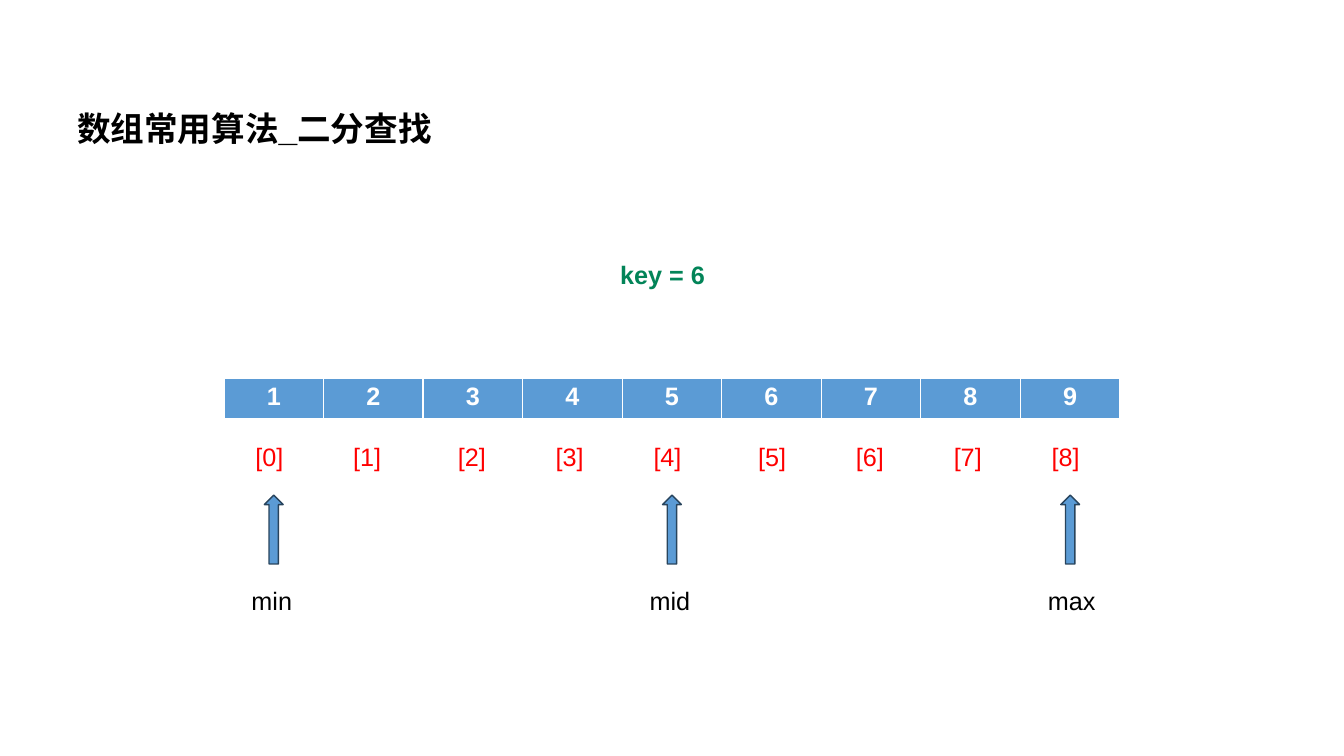
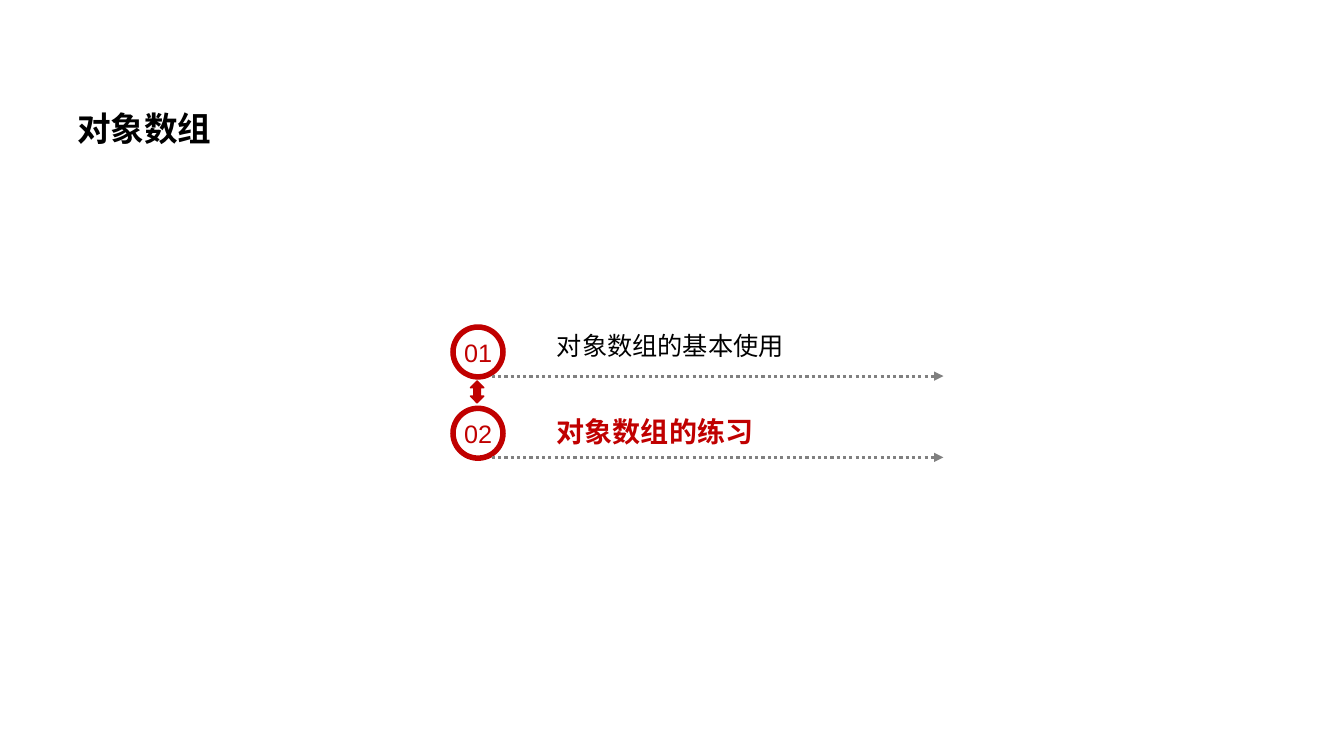
from dataclasses import dataclass
from lxml.etree import SubElement
from pptx import Presentation
from pptx.dml.color import RGBColor
from pptx.enum.dml import MSO_LINE
from pptx.enum.shapes import MSO_CONNECTOR, MSO_SHAPE
from pptx.enum.text import MSO_AUTO_SIZE, PP_ALIGN
from pptx.oxml.ns import qn
from pptx.slide import Slide
from pptx.util import Emu, Inches, Pt

WIDE, HIGH = Inches(13.333), Inches(7.5)
FONT = "Arial"
BLACK, WHITE, GRAY = "000000", "FFFFFF", "808080"
RED, CRIMSON, GREEN = "FF0000", "C00000", "028458"
BLUE, NAVY = "5B9BD5", "28445D"

# The array spans the middle two thirds of the slide, in nine columns.
COUNT = 9
EDGE = 100 / 6
COL = 400 / 6 / COUNT


@dataclass(frozen=True)
class Box:
    """A frame in percent of the slide's width and height."""
    x: float
    y: float
    w: float
    h: float

    def emu(self) -> tuple[Emu, Emu, Emu, Emu]:
        return across(self.x), down(self.y), across(self.w), down(self.h)


@dataclass(frozen=True)
class Style:
    size: int = 18
    color: str = BLACK
    bold: bool = False


@dataclass(frozen=True)
class Mark:
    name: str
    col: int


@dataclass(frozen=True)
class Item:
    num: str
    text: str
    style: Style
    drop: float


TITLE = Style(24, bold=True)
MARKS = [Mark("min", 0), Mark("mid", 4), Mark("max", 8)]
ITEMS = [
    Item("01", "对象数组的基本使用", Style(), 0.1),
    Item("02", "对象数组的练习", Style(20, CRIMSON, True), 0.5),
]


def across(share: float) -> Emu:
    return Emu(round(WIDE * share / 100))


def down(share: float) -> Emu:
    return Emu(round(HIGH * share / 100))


def paint(value: str) -> RGBColor:
    return RGBColor.from_string(value)


def add_run(para, text: str, style: Style) -> None:
    run = para.add_run()
    run.text = text
    font = run.font
    font.name, font.size, font.bold = FONT, Pt(style.size), style.bold
    font.color.rgb = paint(style.color)


def add_text(slide: Slide, box: Box, text: str, style: Style, wrap: bool = True):
    """Add a one-line text box and return its paragraph."""
    frame = slide.shapes.add_textbox(*box.emu()).text_frame
    frame.word_wrap = wrap
    frame.auto_size = MSO_AUTO_SIZE.SHAPE_TO_FIT_TEXT
    para = frame.paragraphs[0]
    add_run(para, text, style)
    return para


def add_title(slide: Slide, text: str) -> None:
    para = add_text(slide, Box(5, 10.9, 88, 8.3), text, TITLE)
    para.line_spacing = 1.5


def add_form(slide: Slide, kind: MSO_SHAPE, box: Box, fill: str, line: str | None = None):
    form = slide.shapes.add_shape(kind, *box.emu())
    form.shadow.inherit = False
    form.fill.solid()
    form.fill.fore_color.rgb = paint(fill)
    if line:
        form.line.color.rgb = paint(line)
        form.line.width = Pt(1)
    else:
        form.line.fill.background()
    return form


def add_arrow(slide: Slide, left: float, right: float, y: float) -> None:
    """Add a dotted level line with a head at its right end."""
    link = slide.shapes.add_connector(
        MSO_CONNECTOR.STRAIGHT, across(left), down(y), across(right), down(y))
    link.line.color.rgb = paint(GRAY)
    link.line.width = Pt(2.25)
    link.line.dash_style = MSO_LINE.ROUND_DOT
    SubElement(link.line._get_or_add_ln(), qn("a:tailEnd"), type="triangle")
    SubElement(link._element.spPr, qn("a:effectLst"))


def add_stops(para, stops: list[float]) -> None:
    """Set left tab stops, in percent of the slide's width."""
    tabs = SubElement(para._p.get_or_add_pPr(), qn("a:tabLst"))
    for stop in stops:
        SubElement(tabs, qn("a:tab"), pos=str(across(stop)), algn="l")


def add_array(slide: Slide) -> None:
    box = Box(EDGE, 50, COL * COUNT, 5.4)
    table = slide.shapes.add_table(1, COUNT, *box.emu()).table
    table.horz_banding = False
    for i in range(COUNT):
        table.columns[i].width = across(COL)
        cell = table.cell(0, i)
        cell.fill.solid()
        cell.fill.fore_color.rgb = paint(BLUE)
        para = cell.text_frame.paragraphs[0]
        para.alignment = PP_ALIGN.CENTER
        add_run(para, str(i + 1), Style(color=WHITE, bold=True))

    text = "".join(f"\t[{i}]" for i in range(COUNT))
    para = add_text(slide, Box(EDGE, 57.7, COL * COUNT, 5.3), text, Style(color=RED))
    # Two gaps, before [2] and [5], are slightly wider.
    add_stops(para, [1.6 + 7.28 * i + 0.5 * ((i >= 2) + (i >= 5)) for i in range(COUNT)])


def draw_search(slide: Slide) -> None:
    add_title(slide, "数组常用算法_二分查找")
    add_array(slide)
    for mark in MARKS:
        mid = EDGE + COL * (mark.col + 0.5)
        add_form(slide, MSO_SHAPE.UP_ARROW, Box(mid - 0.7, 65.5, 1.4, 9.1), BLUE, NAVY)
        add_text(slide, Box(mid - 2.4, 76.8, 19, 5.3), mark.name, Style())
    add_text(slide, Box(45.4, 33.6, 18.2, 5.3), "key = 6", Style(color=GREEN, bold=True))


def draw_agenda(slide: Slide) -> None:
    add_title(slide, "对象数组")
    for i, item in enumerate(ITEMS):
        top = 42.9 + 10.75 * i
        ring = add_form(slide, MSO_SHAPE.DONUT, Box(33.5, top, 4.13, 7.33), CRIMSON)
        ring.adjustments[0] = 0.1
        add_text(slide, Box(33.8, top + 1, 3.6, 5.3), item.num, Style(color=CRIMSON), False)
        add_arrow(slide, 36.6, 70.2, top + 6.85)
        add_text(slide, Box(40.7, top + item.drop, 29.7, 5.4), item.text, item.style)
    add_form(slide, MSO_SHAPE.UP_DOWN_ARROW, Box(35, 50.4, 1, 2.9), CRIMSON, CRIMSON)


def main() -> None:
    deck = Presentation()
    deck.slide_width, deck.slide_height = WIDE, HIGH
    for draw in (draw_search, draw_agenda):
        draw(deck.slides.add_slide(deck.slide_layouts[6]))
    deck.save("out.pptx")


if __name__ == "__main__":
    main()
